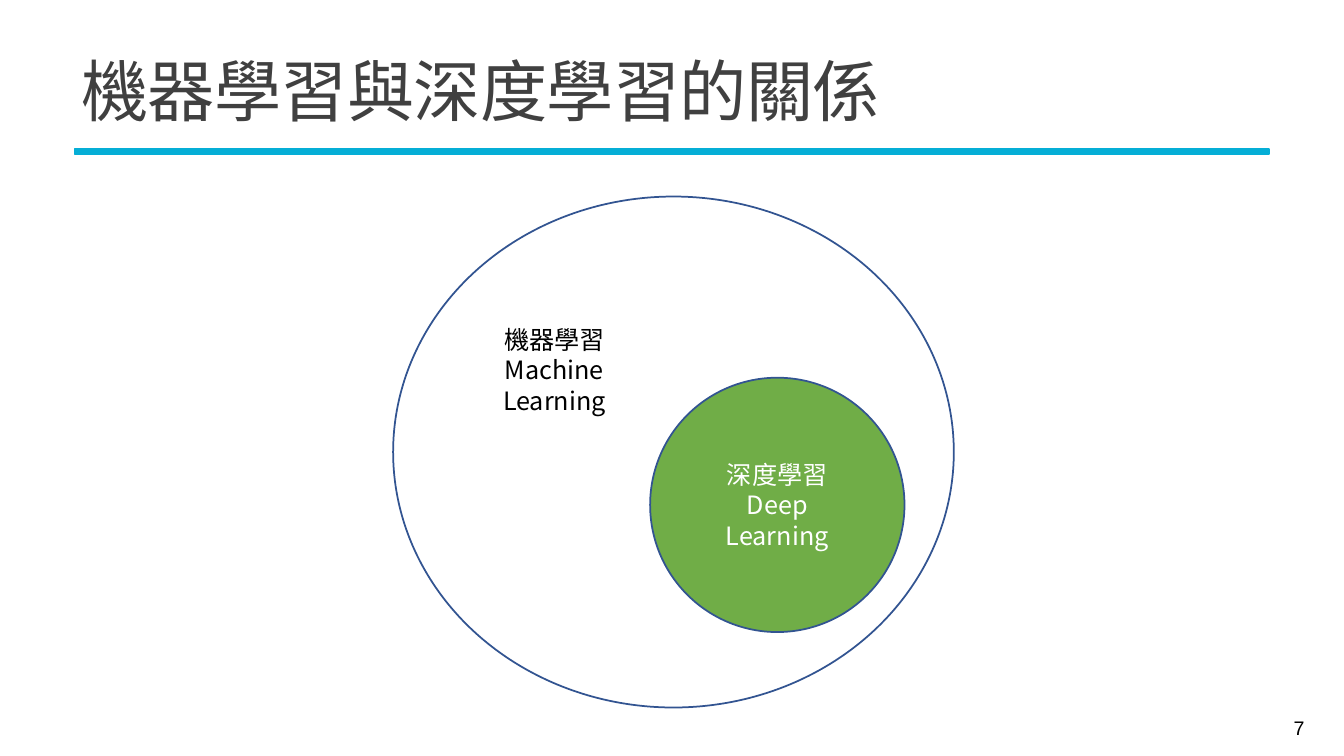
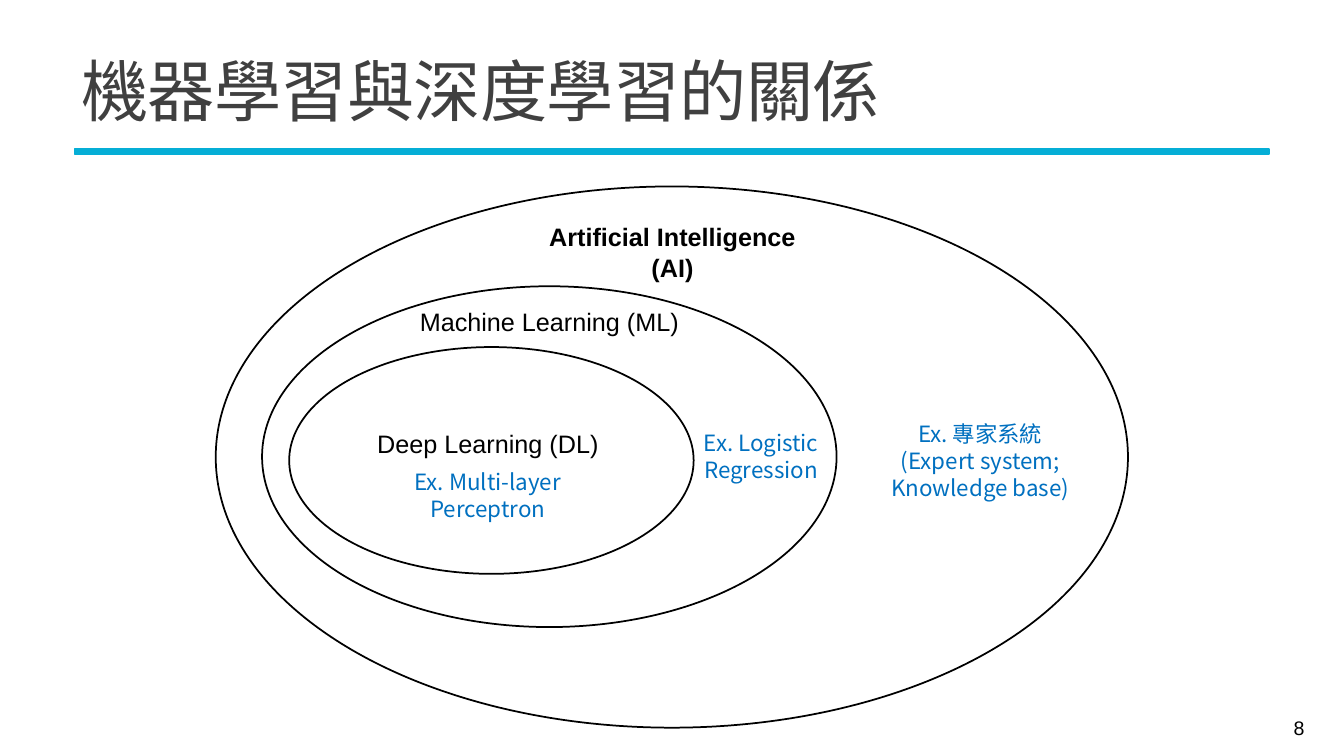
from pptx import Presentation
from pptx.util import Pt
from pptx.dml.color import RGBColor
from pptx.enum.shapes import MSO_SHAPE as Shape
from pptx.enum.text import PP_ALIGN as Align, MSO_ANCHOR as Anchor
from lxml.etree import SubElement
from pptx.oxml.ns import qn

# Shared style
SANS, CJK = "Arial", "Noto Sans CJK TC"
BLACK, WHITE, GREY = "000000", "FFFFFF", "404040"
CYAN, NAVY, GREEN, BLUE = "05AED6", "325491", "70AD47", "0070C0"
OUTLINE = 1.25
TITLE_BOX = (51.1, 28.1, 859.7, 81.4)
RULE_BOX = (53.3, 106.6, 853.2, 3.6)
NUMBER_BOX = (835.9, 505.4, 103, 28.8)

# Text styles: font, size, colour, bold
TERM = (CJK, 18, BLACK, False)
TERM_ON_GREEN = (CJK, 18, WHITE, False)
FIELD = (SANS, 18, BLACK, False)
FIELD_BOLD = (SANS, 18, BLACK, True)
EXAMPLE = (CJK, 16, BLUE, False)

# Content: ovals are (box, fill, line, lines of text), labels are (box, style, lines of text)
SLIDES = [
    {
        "number": 7,
        "title": "機器學習與深度學習的關係",
        "ovals": [
            ((280.8, 140.4, 400.5, 365), None, NAVY, []),
            ((464.4, 269.8, 181.7, 181.7), GREEN, NAVY, ["深度學習", "Deep Learning"]),
        ],
        "labels": [
            ((321.1, 228.2, 149.8, 72.7), TERM, ["機器學習", "Machine Learning"]),
        ],
    },
    {
        "number": 8,
        "title": "機器學習與深度學習的關係",
        "ovals": [
            ((154.1, 133.2, 651.6, 386.6), None, BLACK, []),
            ((187.2, 204.5, 410.4, 243.4), None, BLACK, []),
            ((206.6, 247.9, 288.9, 162), None, BLACK, []),
        ],
        "labels": [
            ((376.6, 154.8, 207.4, 28.8), FIELD_BOLD, ["Artificial Intelligence (AI)"]),
            ((288.7, 215.3, 207.4, 28.8), FIELD, ["Machine Learning (ML)"]),
            ((244.8, 302.4, 207.4, 28.8), FIELD, ["Deep Learning (DL)"]),
            ((627.1, 296.6, 146.2, 65.5), EXAMPLE,
             ["Ex. 專家系統 (Expert system; Knowledge base)"]),
            ((481, 303.1, 125.3, 46.1), EXAMPLE, ["Ex. Logistic Regression"]),
            ((285.8, 331.2, 125.3, 46.1), EXAMPLE, ["Ex. Multi-layer Perceptron"]),
        ],
    },
]


def rgb(color):
    return RGBColor.from_string(color)


def write(shape, lines, style, align=Align.CENTER, anchor=Anchor.TOP):
    font_name, size, color, bold = style
    frame = shape.text_frame
    frame.word_wrap = True
    frame.vertical_anchor = anchor
    frame.text = "\n".join(lines)
    for paragraph in frame.paragraphs:
        paragraph.alignment = align
        for run in paragraph.runs:
            font = run.font
            font.name, font.size, font.bold = font_name, Pt(size), bold
            font.color.rgb = rgb(color)
            # Chinese characters take their font from the East Asian slot
            SubElement(font._element, qn("a:ea"), typeface=font_name)
    return frame


def add_label(slide, box, lines, style, **layout):
    return write(slide.shapes.add_textbox(*map(Pt, box)), lines, style, **layout)


def add_figure(slide, kind, box, fill, line):
    figure = slide.shapes.add_shape(kind, *map(Pt, box))
    figure.shadow.inherit = False
    if fill:
        figure.fill.solid()
        figure.fill.fore_color.rgb = rgb(fill)
    else:
        figure.fill.background()
    figure.line.color.rgb = rgb(line)
    figure.line.width = Pt(OUTLINE)
    return figure


def add_base(prs, title, number):
    """Start a slide with its title, rule and page number."""
    slide = prs.slides.add_slide(prs.slide_layouts[6])
    add_figure(slide, Shape.RECTANGLE, RULE_BOX, CYAN, CYAN)
    heading = add_label(slide, TITLE_BOX, [title], (CJK, 48, GREY, False),
                        align=Align.LEFT, anchor=Anchor.MIDDLE).paragraphs[0]
    heading.line_spacing = 0.85
    heading.runs[0].font._element.set("spc", "-50")
    add_label(slide, NUMBER_BOX, [str(number)], (SANS, 14, BLACK, False),
              align=Align.RIGHT, anchor=Anchor.MIDDLE)
    return slide


def main():
    prs = Presentation()
    prs.slide_width, prs.slide_height = Pt(960), Pt(540)
    for content in SLIDES:
        slide = add_base(prs, content["title"], content["number"])
        # Nested sets, from the outside in
        for box, fill, line, lines in content["ovals"]:
            oval = add_figure(slide, Shape.OVAL, box, fill, line)
            if lines:
                write(oval, lines, TERM_ON_GREEN, anchor=Anchor.MIDDLE)
        # Names and examples
        for box, style, lines in content["labels"]:
            add_label(slide, box, lines, style)
    prs.save("out.pptx")


if __name__ == "__main__":
    main()
